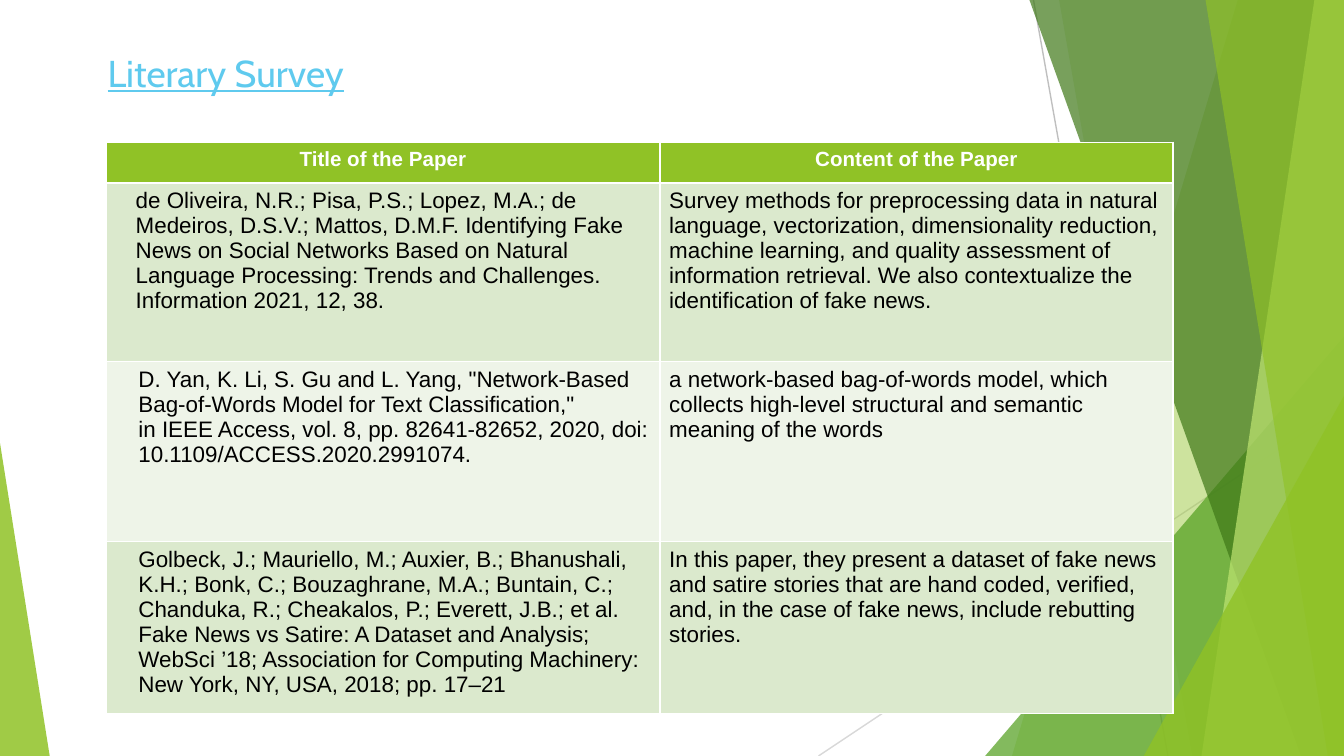
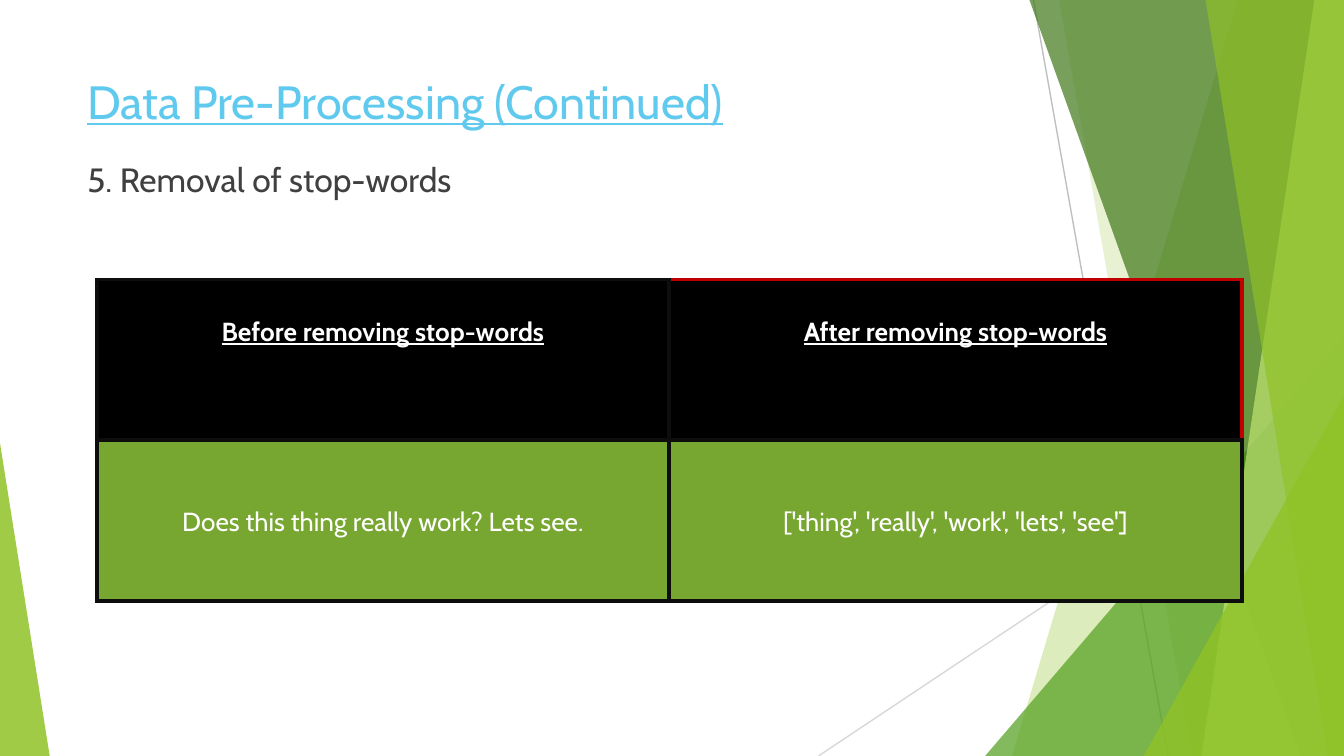
from dataclasses import dataclass

from lxml.etree import SubElement
from pptx import Presentation
from pptx.dml.color import RGBColor
from pptx.enum.shapes import MSO_CONNECTOR, MSO_SHAPE
from pptx.enum.text import MSO_ANCHOR, MSO_AUTO_SIZE, PP_ALIGN
from pptx.oxml.ns import qn
from pptx.util import Inches, Pt


@dataclass(frozen=True)
class Theme:
    heading_font: str = "Cabin"
    body_font: str = "Arial"
    sky: str = "5FCAEE"
    green: str = "90C226"
    leaf: str = "54A021"
    forest: str = "3F7818"
    lime: str = "BFE471"
    moss: str = "77A631"
    pale: str = "DBE9CD"
    paler: str = "EEF4E8"
    white: str = "FFFFFF"
    black: str = "000000"
    ink: str = "0D0D0D"
    charcoal: str = "404040"
    red: str = "C00000"
    grey: str = "BFBFBF"
    light_grey: str = "D8D8D8"
    small_title: int = 20
    title: int = 25
    subtitle: int = 18
    example: int = 14
    body: int = 12
    header: int = 11


@dataclass(frozen=True)
class Box:
    left: float
    top: float
    width: float
    height: float

    @property
    def right(self):
        return self.left + self.width

    @property
    def bottom(self):
        return self.top + self.height

    def emu(self):
        return [Inches(v) for v in (self.left, self.top, self.width, self.height)]


THEME = Theme()
PAGE = Box(0, 0, 10, 10 * 9 / 16)
HARD_SPACE = chr(160)


def rgb(color):
    return RGBColor.from_string(color)


def write(frame, text, *, size, color, font=THEME.heading_font, bold=False,
          underline=False, align=PP_ALIGN.LEFT, indent=0):
    frame.word_wrap = True
    paragraph = frame.paragraphs[0]
    paragraph.alignment = align
    properties = paragraph._p.get_or_add_pPr()
    properties.set("marL", str(Inches(indent)))
    properties.set("indent", "0")
    run = paragraph.add_run()
    run.text = text
    run.font.size = Pt(size)
    run.font.name = font
    run.font.bold = bold
    run.font.underline = underline
    run.font.color.rgb = rgb(color)


def write_heading(holder, box, text, **style):
    holder.left, holder.top, holder.width, holder.height = box.emu()
    frame = holder.text_frame
    frame.margin_left = frame.margin_right = frame.margin_bottom = 0
    frame.margin_top = Inches(0.01)
    frame.vertical_anchor = MSO_ANCHOR.TOP
    frame.auto_size = MSO_AUTO_SIZE.SHAPE_TO_FIT_TEXT
    write(frame, text, indent=0.01, **style)


def tint(shape, color, opacity):
    shape.shadow.inherit = False
    shape.fill.solid()
    shape.fill.fore_color.rgb = rgb(color)
    shape.line.fill.background()
    for value in shape.element.iter(qn("a:srgbClr")):
        SubElement(value, qn("a:alpha"), val=str(opacity * 1000))


def add_ray(shapes, start, end, color):
    points = [Inches(v) for v in (*start, *end)]
    ray = shapes.add_connector(MSO_CONNECTOR.STRAIGHT, *points)
    ray.line.color.rgb = rgb(color)
    ray.line.width = Pt(0.75)
    SubElement(ray.element.spPr, qn("a:effectLst"))


def add_band(shapes, page, top_x, bottom_x, color, opacity):
    corners = [(top_x, page.top), (page.right, page.top),
               (page.right, page.bottom), (bottom_x, page.bottom)]
    points = [(Inches(x), Inches(y)) for x, y in corners]
    outline = shapes.build_freeform(*points[0])
    outline.add_line_segments(points[1:], close=True)
    tint(outline.convert_to_shape(), color, opacity)


def add_wedge(shapes, box, peak, color, opacity):
    wedge = shapes.add_shape(MSO_SHAPE.ISOSCELES_TRIANGLE, *box.emu())
    wedge.adjustments[0] = peak
    tint(wedge, color, opacity)


def corner_box(page, width, height):
    return Box(page.right - width, page.bottom - height, width, height)


def add_facets(slide, page):
    facets = slide.shapes.add_group_shape()
    shapes = facets.shapes
    add_ray(shapes, (7.69, page.top), (8.69, page.bottom), THEME.grey)
    add_ray(shapes, (page.right, 3.02), (6.09, page.bottom), THEME.light_grey)
    add_band(shapes, page, 9.21, 7.53, THEME.green, 30)
    add_band(shapes, page, 7.88, 8.87, THEME.green, 20)
    add_wedge(shapes, corner_box(page, 2.67, 3.12), 1, THEME.leaf, 72)
    add_band(shapes, page, 7.66, 9.68, THEME.forest, 70)
    add_band(shapes, page, 9.78, 8.94, THEME.lime, 70)
    add_band(shapes, page, 8.97, 9.88, THEME.green, 65)
    add_wedge(shapes, corner_box(page, 1.49, 2.68), 1, THEME.green, 80)
    add_wedge(shapes, Box(page.left, page.bottom - 2.33, 0.37, 2.33), 0, THEME.green, 85)
    slide.slide_layout.shapes.element.insert(2, facets.element)


def set_borders(cell, color, width, **special):
    properties = cell._tc.get_or_add_tcPr()
    for side in "LRTB":
        side_color, side_width = special.get(side, (color, width))
        line = SubElement(properties, qn(f"a:ln{side}"), w=str(Pt(side_width)))
        fill = SubElement(line, qn("a:solidFill"))
        SubElement(fill, qn("a:srgbClr"), val=side_color)


def style_cell(cell, fill, margins, border, special=None):
    set_borders(cell, *border, **(special or {}))
    cell.fill.solid()
    cell.fill.fore_color.rgb = rgb(fill)
    cell.margin_left, cell.margin_top, cell.margin_right, cell.margin_bottom = [
        Inches(v) for v in margins]
    cell.vertical_anchor = MSO_ANCHOR.TOP


def add_grid(slide, box, widths, heights):
    grid = slide.shapes.add_table(len(heights), len(widths), *box.emu()).table
    grid.first_row = grid.horz_banding = False
    for column, width in zip(grid.columns, widths):
        column.width = Inches(width)
    for row, height in zip(grid.rows, heights):
        row.height = Inches(height)
    return grid


def add_survey(slide, box, headers, papers):
    grid = add_grid(slide, box, (4.12, box.width - 4.12), (0.3, 1.33, 1.34, 1.28))
    margins = (0.07, 0.04, 0.07, 0.04)
    border = (THEME.white, 1)
    for col, header in enumerate(headers):
        cell = grid.cell(0, col)
        style_cell(cell, THEME.green, margins, border)
        write(cell.text_frame, header, size=THEME.header, color=THEME.white,
              font=THEME.body_font, bold=True, align=PP_ALIGN.CENTER)
    for row, (indent, *texts) in enumerate(papers, 1):
        for col, text in enumerate(texts):
            cell = grid.cell(row, col)
            style_cell(cell, THEME.pale if row % 2 else THEME.paler, margins, border)
            write(cell.text_frame, text, size=THEME.body, color=THEME.black,
                  font=THEME.body_font, indent=0 if col else indent)


def add_comparison(slide, box, headers, examples):
    grid = add_grid(slide, box, [box.width / 2] * 2, [box.height / 2] * 2)
    red_edge = (THEME.red, 2.25)
    rows = ((headers, THEME.black, 0.27, True), (examples, THEME.moss, 0.49, False))
    for row, (texts, fill, top, is_header) in enumerate(rows):
        for col, text in enumerate(texts):
            cell = grid.cell(row, col)
            special = {"T": red_edge, "R": red_edge} if is_header and col else None
            style_cell(cell, fill, (0, top, 0, 0), (THEME.ink, 2.25), special)
            write(cell.text_frame, text, size=THEME.example, color=THEME.white,
                  bold=is_header, underline=is_header, align=PP_ALIGN.CENTER)


def build_survey_slide(slide, page):
    write_heading(slide.shapes.title, Box(page.left + 0.79, page.top + 0.36, 4.2, 0.35),
                  "Literary Survey", size=THEME.small_title, color=THEME.sky,
                  underline=True)
    papers = (
        (0.15,
         "de Oliveira, N.R.; Pisa, P.S.; Lopez, M.A.; de Medeiros, D.S.V.; Mattos, D.M.F. "
         "Identifying Fake News on Social Networks Based on Natural Language Processing: "
         "Trends and Challenges. Information 2021, 12, 38.",
         "Survey methods for preprocessing data in natural language, vectorization, "
         "dimensionality reduction, machine learning, and quality assessment of information "
         "retrieval. We also contextualize the identification of fake news."),
        (0.17,
         'D. Yan, K. Li, S. Gu and L. Yang, "Network-Based Bag-of-Words Model for Text '
         f'Classification," in{HARD_SPACE}IEEE Access, vol. 8, pp. 82641-82652, 2020, doi: '
         "10.1109/ACCESS.2020.2991074.",
         "a network-based bag-of-words model, which collects high-level structural and "
         "semantic meaning of the words"),
        (0.17,
         "Golbeck, J.; Mauriello, M.; Auxier, B.; Bhanushali, K.H.; Bonk, C.; Bouzaghrane, "
         "M.A.; Buntain, C.; Chanduka, R.; Cheakalos, P.; Everett, J.B.; et al. Fake News vs "
         "Satire: A Dataset and Analysis; WebSci ’18; Association for Computing Machinery: "
         "New York, NY, USA, 2018; pp. 17–21",
         "In this paper, they present a dataset of fake news and satire stories that are hand "
         "coded, verified, and, in the case of fake news, include rebutting stories."),
    )
    add_survey(slide, Box(page.left + 0.79, page.top + 1.06, 7.94, 4.25),
               ("Title of the Paper", "Content of the Paper"), papers)


def build_stop_words_slide(slide, page):
    left = page.left + 0.64
    write_heading(slide.shapes.title, Box(left, page.top + 0.53, 5.75, 0.44),
                  "Data Pre-Processing (Continued)", size=THEME.title, color=THEME.sky,
                  underline=True)
    step = Box(left, page.top + 1.17, 2.87, 0.33)
    write_heading(slide.shapes.add_textbox(*step.emu()), step, "5. Removal of stop-words",
                  size=THEME.subtitle, color=THEME.charcoal)
    add_comparison(slide, Box(page.left + 0.72, page.top + 2.08, 8.52, 2.39),
                   ("Before removing stop-words", "After removing stop-words"),
                   ("Does this thing really work? Lets see.",
                    "['thing', 'really', 'work', 'lets', 'see']"))


def main():
    deck = Presentation()
    deck.slide_width, deck.slide_height = Inches(PAGE.width), Inches(PAGE.height)
    title_only = deck.slide_layouts[5]
    survey, stop_words = [deck.slides.add_slide(title_only) for _ in range(2)]
    add_facets(survey, PAGE)
    build_survey_slide(survey, PAGE)
    build_stop_words_slide(stop_words, PAGE)
    deck.save("out.pptx")


if __name__ == "__main__":
    main()
